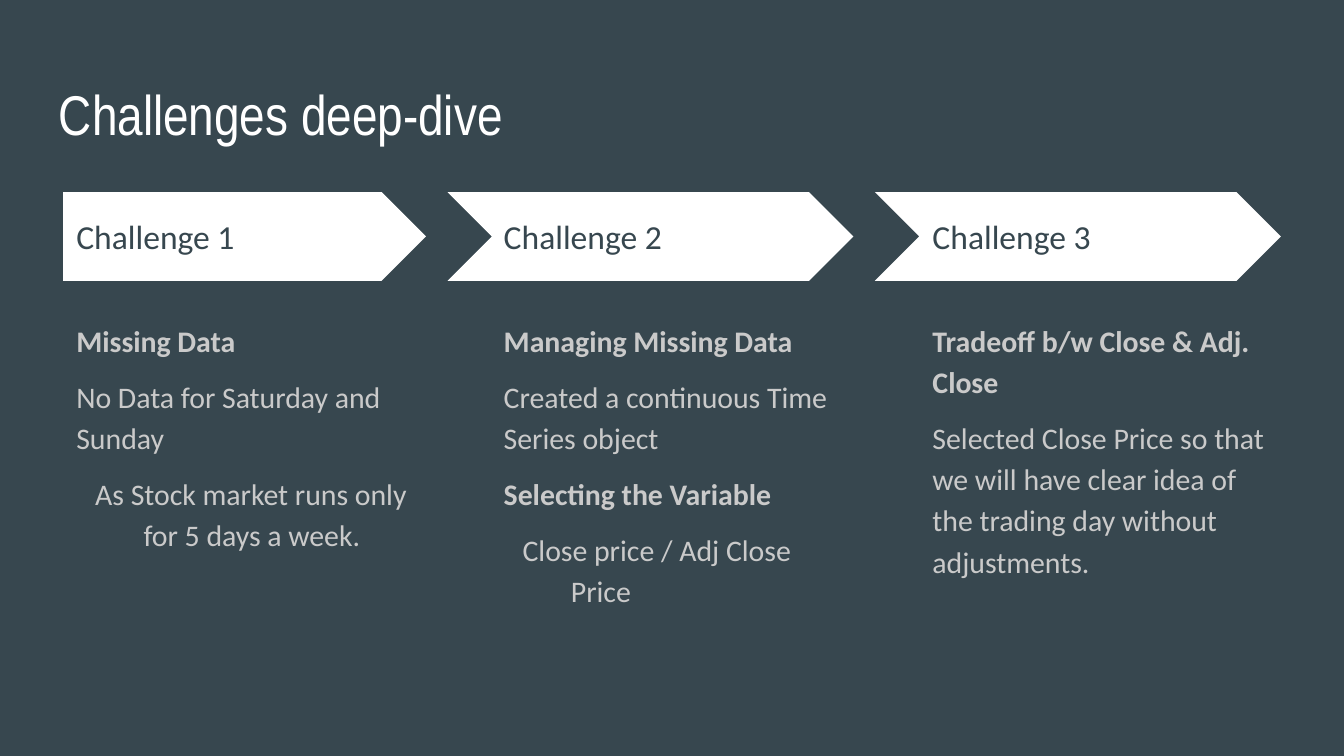
"""Build the "Challenges deep-dive" slide: three arrows with notes below."""
from pptx import Presentation
from pptx.dml.color import RGBColor
from pptx.enum import shapes, text
from pptx.util import Inches, Pt

SLATE, WHITE, GREY = "37474F", "FFFFFF", "CACACA"
FIRST_ARROW, STEP, NOTCH = 0.47, 3.18, 0.32

challenges = [
    (0.47, "Challenge 1", [
        ("Missing Data", "heading"),
        ("No Data for Saturday and Sunday", "body"),
        ("As Stock market runs only for 5 days a week.", "hanging"),
    ]),
    (3.65, "Challenge 2", [
        ("Managing Missing Data", "heading"),
        ("Created a continuous Time Series object", "body"),
        ("Selecting the Variable", "heading"),
        ("Close price / Adj Close Price", "hanging"),
    ]),
    (6.84, "Challenge 3", [
        ("Tradeoff b/w Close & Adj. Close", "heading"),
        ("Selected Close Price so that we will have clear idea of "
         "the trading day without adjustments.", "body"),
    ]),
]


def color(value):
    return RGBColor.from_string(value)


def add_text(box, lines, font, size, ink, anchor=text.MSO_ANCHOR.TOP):
    frame = slide.shapes.add_textbox(*map(Inches, box)).text_frame
    frame.word_wrap = True
    frame.vertical_anchor = anchor
    frame.margin_left = frame.margin_right = Inches(0.1)
    frame.margin_top = frame.margin_bottom = Inches(0.1)
    frame.text = "\n".join(lines)
    for paragraph in frame.paragraphs:
        paragraph.font.name = font
        paragraph.font.size = Pt(size)
        paragraph.font.color.rgb = color(ink)
    return frame.paragraphs


prs = Presentation()
prs.slide_width = Inches(10)
prs.slide_height = Inches(10 * 9 / 16)
slide = prs.slides.add_slide(prs.slide_layouts[6])
slide.background.fill.solid()
slide.background.fill.fore_color.rgb = color(SLATE)

add_text((0.34, 0.49, 9.32, 0.63), ["Challenges deep-dive"], "Arial Narrow", 30, WHITE)

for column, (left, label, notes) in enumerate(challenges):
    notch = NOTCH if column else 0
    kind = shapes.MSO_SHAPE.CHEVRON if column else shapes.MSO_SHAPE.PENTAGON
    arrow = slide.shapes.add_shape(
        kind, Inches(FIRST_ARROW + column * STEP - notch), Inches(1.43),
        Inches(2.7 + notch), Inches(0.66))
    arrow.shadow.inherit = False
    arrow.fill.solid()
    arrow.fill.fore_color.rgb = color(WHITE)
    arrow.line.fill.background()

    add_text((left, 1.59, 2.47, 0.34), [label], "Calibri", 18, SLATE, text.MSO_ANCHOR.MIDDLE)

    paragraphs = add_text(
        (left, 2.26, 2.7, 2.9), [words for words, _ in notes], "Calibri", 16, GREY)
    for paragraph, (_, style) in zip(paragraphs, notes):
        paragraph.font.bold = style == "heading"
        paragraph.line_spacing = 1.15
        paragraph.space_after = Pt(8)
        if style == "hanging":
            properties = paragraph._p.get_or_add_pPr()
            properties.set("marL", str(Inches(0.5)))
            properties.set("indent", str(Inches(-0.36)))

prs.save("out.pptx")
